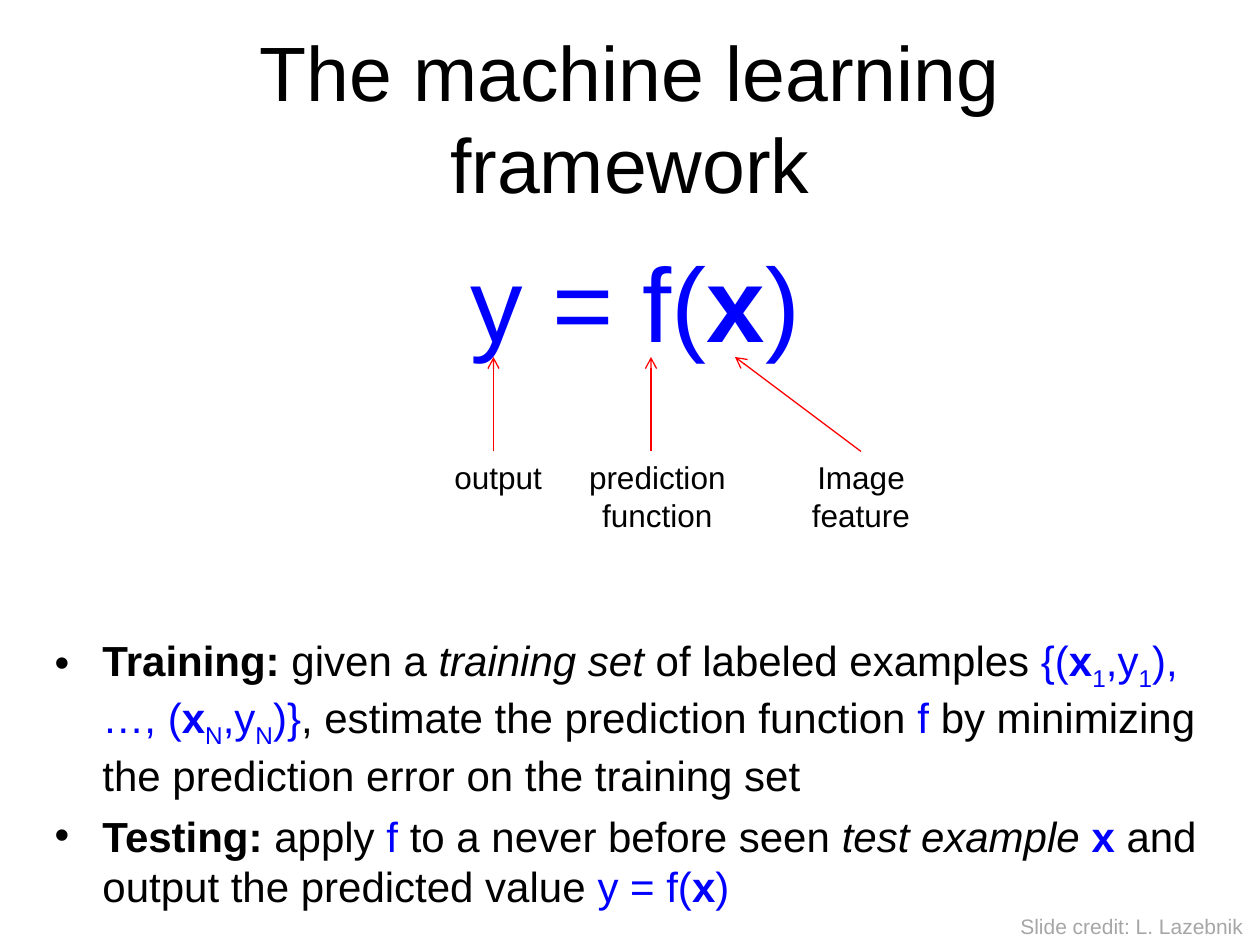
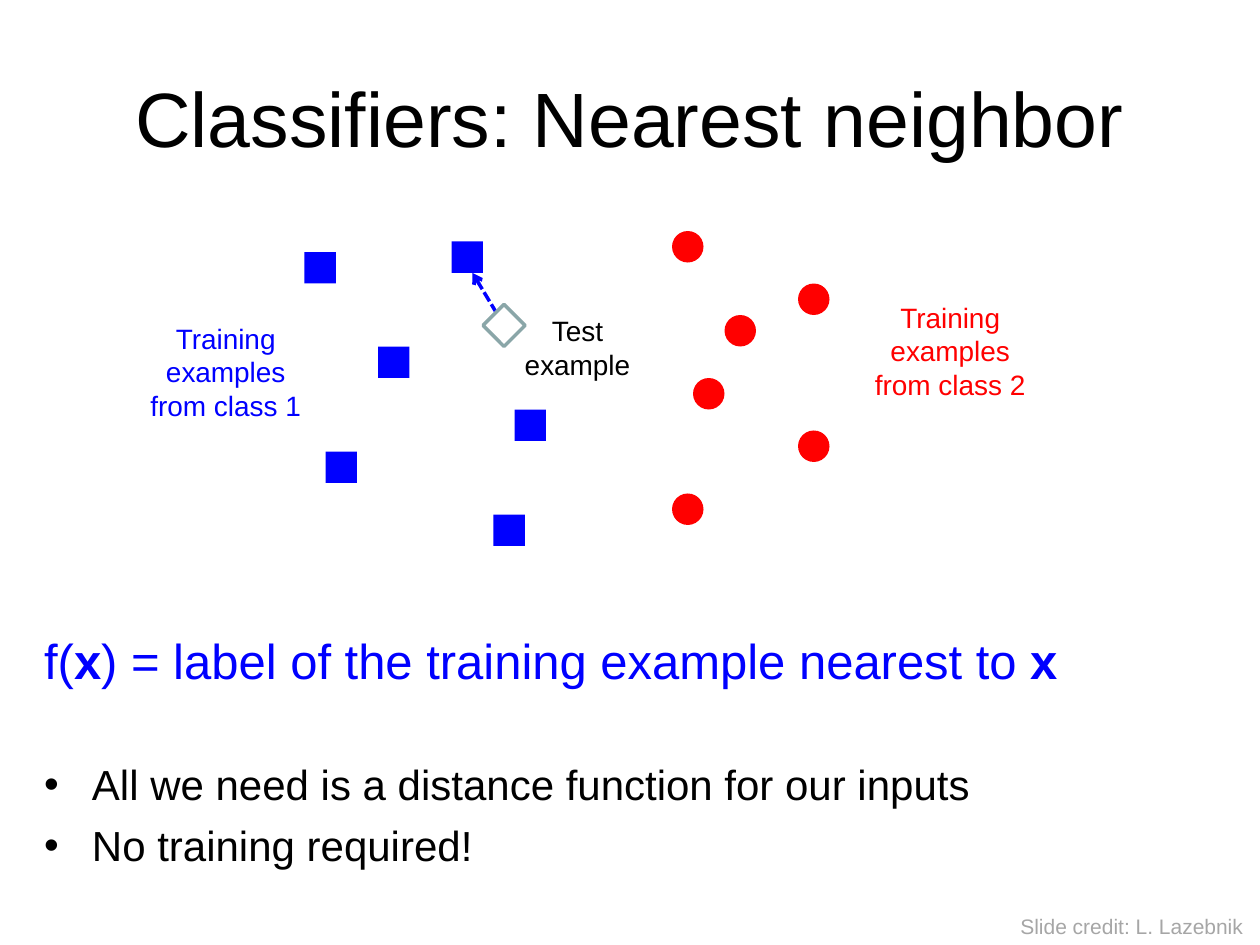
from lxml.etree import SubElement
from pptx import Presentation
from pptx.dml.color import RGBColor
from pptx.enum.dml import MSO_LINE
from pptx.enum.shapes import MSO_CONNECTOR, MSO_SHAPE
from pptx.enum.text import MSO_AUTO_SIZE, PP_ALIGN
from pptx.oxml.ns import qn
from pptx.util import Inches, Pt

COLUMNS, ROWS = 120, 90
CELL = Inches(10) // COLUMNS
BLACK, BLUE, RED, GREY, SLATE, WHITE = "000000", "0000FF", "FF0000", "A6A6A6", "8AA6A8", "FFFFFF"
HANG = Inches(0.38)
LEFT, CENTER = PP_ALIGN.LEFT, PP_ALIGN.CENTER

STYLES = {
    "text": (BLACK, {}),
    "strong": (BLACK, {"bold": True}),
    "term": (BLACK, {"italic": True}),
    "math": (BLUE, {}),
    "vector": (BLUE, {"bold": True}),
    "index": (BLUE, {}),
    "class 2": (RED, {}),
    "credit": (GREY, {}),
}


def cells(*values):
    return [round(value * CELL) for value in values]


def write(paragraph, pieces, size, align):
    paragraph.alignment = align
    for words, style in pieces:
        run = paragraph.add_run()
        run.text = words
        color, extras = STYLES[style]
        values = {"name": "Arial", "size": Pt(size), "bold": False, "italic": False} | extras
        for attribute, value in values.items():
            setattr(run.font, attribute, value)
        run.font.color.rgb = RGBColor.from_string(color)
        if style == "index":
            run.font._element.set("baseline", "-25000")


training = [
    ("Training: ", "strong"), ("given a ", "text"), ("training set ", "term"),
    ("of labeled examples ", "text"), ("{(", "math"), ("x", "vector"), ("1", "index"),
    (",y", "math"), ("1", "index"), ("), …, (", "math"), ("x", "vector"), ("N", "index"),
    (",y", "math"), ("N", "index"), (")}", "math"),
    (", estimate the prediction function ", "text"), ("f ", "math"),
    ("by minimizing the prediction error on the training set", "text"),
]
testing = [
    ("Testing:", "strong"), (" apply ", "text"), ("f", "math"),
    (" to a never before seen ", "text"), ("test example ", "term"), ("x", "vector"),
    (" and output the predicted value ", "text"), ("y = f(", "math"), ("x", "vector"), (")", "math"),
]
formula = [("y = f(", "math"), ("x", "vector"), (")", "math")]
nearest_rule = [
    ("f(", "math"), ("x", "vector"),
    (") = label of the training example nearest to ", "math"), ("x", "vector"),
]
distance = [("All we need is a distance function for our inputs", "text")]
no_training = [("No training required!", "text")]

lessons = [
    {
        "title": "The machine learning framework",
        "body": (4, 22, 113, 59),
        "paragraphs": [
            (formula, 60, CENTER, 0, False),
            (training, 24, LEFT, 155, True),
            (testing, 24, LEFT, 6, True),
        ],
        "labels": [
            ("output", "text", 18, LEFT, False, (42.1, 43, 10.8, 4.8)),
            ("prediction function", "text", 18, CENTER, True, (50.2, 43, 24.8, 8.5)),
            ("Image feature", "text", 18, CENTER, True, (72.1, 43, 19.8, 8.5)),
        ],
        "arrows": [
            ((47, 43, 47, 34), RED, 0.75, MSO_LINE.SOLID),
            ((62, 43, 62, 34), RED, 0.75, MSO_LINE.SOLID),
            ((82, 43, 70, 34), RED, 0.75, MSO_LINE.SOLID),
        ],
        "samples": [],
    },
    {
        "title": "Classifiers: Nearest neighbor",
        "body": (3, 59.4, 114, 17.4),
        "paragraphs": [
            (nearest_rule, 28, LEFT, 0, False),
            (distance, 24, LEFT, 40, True),
            (no_training, 24, LEFT, 6, True),
        ],
        "labels": [
            ("Test example", "text", 16, CENTER, True, (48, 29.3, 14, 7.7)),
            ("Training examples from class 1", "math", 16, CENTER, True, (13, 30, 17, 11)),
            ("Training examples from class 2", "class 2", 16, CENTER, True, (82, 28, 17, 11)),
        ],
        "arrows": [((48, 31, 45, 26), BLUE, 2, MSO_LINE.SQUARE_DOT)],
        "samples": [
            (MSO_SHAPE.RECTANGLE, 3, BLUE, None,
             [(29, 24), (36, 33), (43, 23), (31, 43), (49, 39), (47, 49)]),
            (MSO_SHAPE.OVAL, 3, RED, None,
             [(76, 27), (66, 36), (76, 41), (64, 22), (69, 30), (64, 47)]),
            (MSO_SHAPE.DIAMOND, 4, WHITE, SLATE, [(46, 29)]),
        ],
    },
]
credit = ("Slide credit: L. Lazebnik", "credit", 12, LEFT, False, (96, 86.4, 23.8, 3.6))

deck = Presentation()
deck.slide_width, deck.slide_height = cells(COLUMNS, ROWS)

for lesson in lessons:
    slide = deck.slides.add_slide(deck.slide_layouts[1])
    title, body = slide.placeholders
    frames = [(title, (6, 3.6, 108, 15)), (body, lesson["body"])]
    for holder, box in frames:
        for side, value in zip(("left", "top", "width", "height"), cells(*box)):
            setattr(holder, side, value)
        holder.text_frame.auto_size = MSO_AUTO_SIZE.NONE
    write(title.text_frame.paragraphs[0], [(lesson["title"], "text")], 44, CENTER)

    for number, (pieces, size, align, gap, bulleted) in enumerate(lesson["paragraphs"]):
        content = body.text_frame
        paragraph = content.add_paragraph() if number else content.paragraphs[0]
        properties = paragraph._p.get_or_add_pPr()
        hang = HANG if bulleted else 0
        for key, value in {"marL": hang, "indent": -hang}.items():
            properties.set(key, str(value))
        if bulleted:
            SubElement(properties, qn("a:buChar")).set("char", "•")
        else:
            SubElement(properties, qn("a:buNone"))
        paragraph.space_before = Pt(gap)
        write(paragraph, pieces, size, align)

    for ends, color, width, dash in lesson["arrows"]:
        arrow = slide.shapes.add_connector(MSO_CONNECTOR.STRAIGHT, *cells(*ends))
        arrow.line.color.rgb = RGBColor.from_string(color)
        arrow.line.width = Pt(width)
        arrow.line.dash_style = dash
        outline = arrow.line._get_or_add_ln()
        SubElement(outline, qn("a:tailEnd")).set("type", "arrow")
        SubElement(arrow._element.spPr, qn("a:effectLst"))

    for outline, span, color, edge, corners in lesson["samples"]:
        for column, row in corners:
            sample = slide.shapes.add_shape(outline, *cells(column, row, span, span))
            sample.shadow.inherit = False
            sample.fill.solid()
            sample.fill.fore_color.rgb = RGBColor.from_string(color)
            if edge:
                sample.line.color.rgb = RGBColor.from_string(edge)
                sample.line.width = Pt(2)
            else:
                sample.line.fill.background()

    for words, style, size, align, wrapped, box in lesson["labels"] + [credit]:
        label = slide.shapes.add_textbox(*cells(*box)).text_frame
        label.word_wrap = wrapped
        write(label.paragraphs[0], [(words, style)], size, align)

deck.save("out.pptx")
